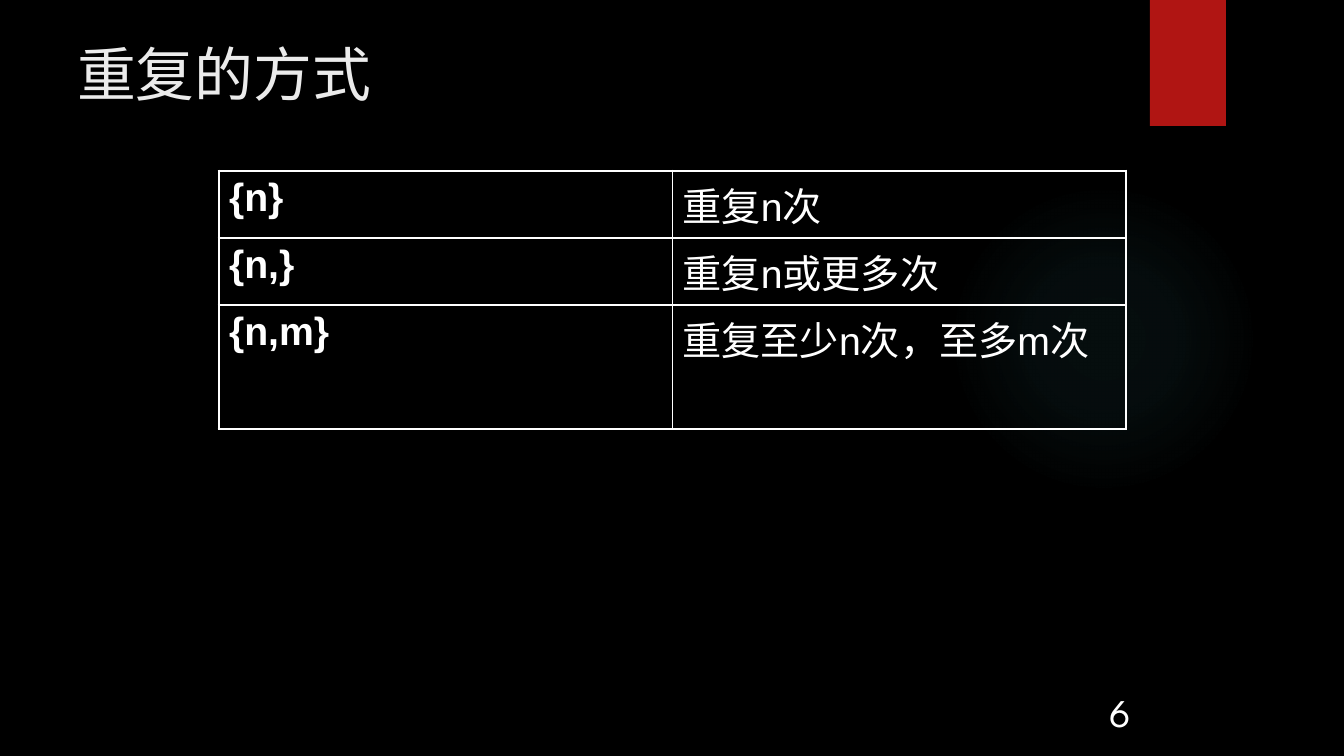
"""Build a slide with a table of regular expression repetition quantifiers."""
from lxml import etree
from pptx import Presentation
from pptx.dml.color import RGBColor
from pptx.enum.shapes import MSO_SHAPE
from pptx.enum.text import MSO_ANCHOR, PP_ALIGN
from pptx.oxml import parse_xml
from pptx.oxml.ns import nsdecls, qn
from pptx.util import Pt

RECT, OVAL = MSO_SHAPE.RECTANGLE, MSO_SHAPE.OVAL
MIDDLE, BOTTOM = MSO_ANCHOR.MIDDLE, MSO_ANCHOR.BOTTOM
LEFT, CENTER = PP_ALIGN.LEFT, PP_ALIGN.CENTER
BLACK = RGBColor(0x00, 0x00, 0x00)
WHITE = RGBColor(0xFF, 0xFF, 0xFF)
RED = RGBColor(0xB0, 0x15, 0x13)
TEAL = RGBColor(0x50, 0xB9, 0xC1)
PALE = RGBColor(0xEB, 0xEB, 0xEB)
HEAD_FONT, BODY_FONT = "League Spartan", "Arial"
PX = 914400 / 100.8


def box(*lengths):
    return [round(v * PX) for v in lengths]


def add_text(p, text, size, font, color, bold=False):
    r = p.add_run()
    r.text = text
    r.font.size = Pt(size)
    r.font.name = font
    r.font.color.rgb = color
    r.font.bold = bold


prs = Presentation()
prs.slide_width, prs.slide_height = box(1344, 756)
s = prs.slides.add_slide(prs.slide_layouts[5])
s.background.fill.solid()
s.background.fill.fore_color.rgb = BLACK

glow = s.shapes.add_shape(OVAL, *box(949, 184, 310, 310))
glow.shadow.inherit = False
glow.line.fill.background()
stops = "".join(
    f'<a:gs pos="{pos * 1000}"><a:srgbClr val="{TEAL}">'
    f'<a:alpha val="{alpha * 1000}"/></a:srgbClr></a:gs>'
    for pos, alpha in ((0, 7), (36, 6), (69, 0), (100, 0)))
glow.fill.background()
no_fill = glow._element.spPr.find(qn("a:noFill"))
no_fill.getparent().replace(no_fill, parse_xml(
    f'<a:gradFill {nsdecls("a")}><a:gsLst>{stops}</a:gsLst><a:path path="circle">'
    '<a:fillToRect l="50000" t="50000" r="50000" b="50000"/></a:path></a:gradFill>'))

ribbon = s.shapes.add_shape(RECT, *box(1150, 0, 76, 126))
ribbon.shadow.inherit = False
ribbon.fill.solid()
ribbon.fill.fore_color.rgb = RED
ribbon.line.fill.background()

title = s.shapes.title
title.left, title.top, title.width, title.height = box(67, 30, 1210, 86)
tf = title.text_frame
tf.vertical_anchor = MIDDLE
tf.paragraphs[0].alignment = LEFT
add_text(tf.paragraphs[0], "重复的方式", 42, HEAD_FONT, PALE)

rows = [("{n}", "重复n次"), ("{n,}", "重复n或更多次"), ("{n,m}", "重复至少n次，至多m次")]
heights = box(67, 67, 124)
table = s.shapes.add_table(len(rows), 2, *box(219, 171, 907, 258)).table
table.first_row = table.horz_banding = False
for i, row in enumerate(rows):
    table.rows[i].height = heights[i]
    for j, text in enumerate(row):
        cell = table.cell(i, j)
        p = cell.text_frame.paragraphs[0]
        add_text(p, text, 28, BODY_FONT, WHITE, bold=j == 0)
        outer = {"L": j == 0, "R": j == 1, "T": i == 0, "B": i == len(rows) - 1}
        tcPr = cell._tc.get_or_add_tcPr()
        for side, thick in outer.items():
            ln = etree.SubElement(tcPr, qn(f"a:ln{side}"), w=str(Pt(2.25 if thick else 1)))
            fill = etree.SubElement(ln, qn("a:solidFill"))
            etree.SubElement(fill, qn("a:srgbClr"), val=str(WHITE))
        cell.fill.background()

tf = s.shapes.add_textbox(*box(964, 688, 313, 52)).text_frame
tf.word_wrap = True
tf.vertical_anchor = BOTTOM
tf.paragraphs[0].alignment = CENTER
add_text(tf.paragraphs[0], "6", 28, HEAD_FONT, WHITE)

prs.save("out.pptx")
